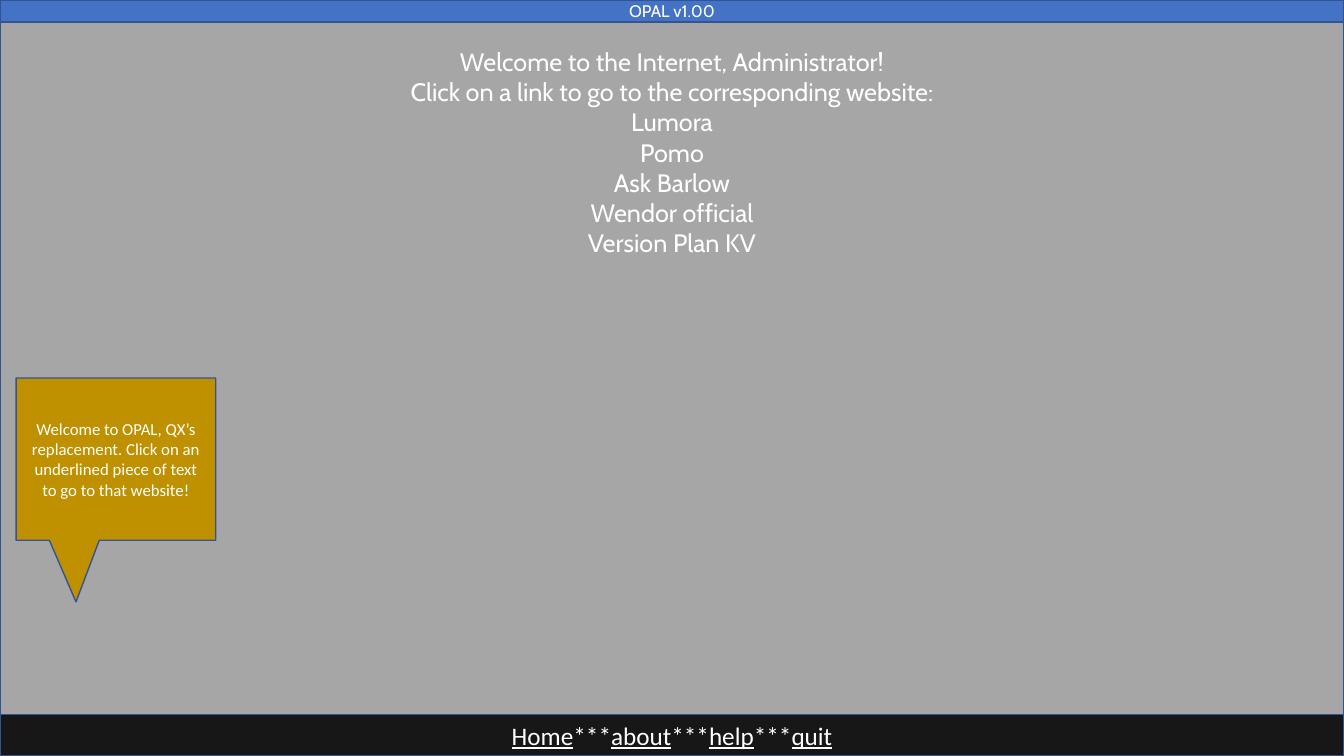
"""Builds the welcome page of a retro web browser."""
from dataclasses import dataclass

from pptx import Presentation
from pptx.dml.color import RGBColor
from pptx.enum.shapes import MSO_SHAPE as Shape
from pptx.enum.text import MSO_ANCHOR as Anchor, MSO_AUTO_SIZE as AutoSize, PP_ALIGN as Align
from pptx.util import Inches, Pt


@dataclass(frozen=True)
class Theme:
    """Colours, fonts and type sizes of the browser."""
    title_bar: str = "4472C4"
    page: str = "A6A6A6"
    tip: str = "BF9000"
    menu: str = "181717"
    outline: str = "325491"
    text: str = "FFFFFF"
    display_font: str = "Cabin"
    body_font: str = "Calibri"
    small: int = 12
    large: int = 18


class BrowserSlide:
    """Draws styled elements on one slide."""

    def __init__(self, slide, theme):
        """Keep the slide and its theme."""
        self.slide = slide
        self.theme = theme

    def panel(self, left, top, width, height, color, kind=Shape.RECTANGLE):
        """Add a filled, outlined shape."""
        panel = self.slide.shapes.add_shape(
            kind, Inches(left), Inches(top), Inches(width), Inches(height))
        panel.shadow.inherit = False
        panel.fill.solid()
        panel.fill.fore_color.rgb = RGBColor.from_string(color)
        panel.line.color.rgb = RGBColor.from_string(self.theme.outline)
        panel.line.width = Pt(1)
        panel.text_frame.vertical_anchor = Anchor.MIDDLE
        return panel

    def text_box(self, left, top, width, height, lines, font, size):
        """Add a wrapped text box with one paragraph per line."""
        box = self.slide.shapes.add_textbox(
            Inches(left), Inches(top), Inches(width), Inches(height))
        box.text_frame.word_wrap = True
        box.text_frame.auto_size = AutoSize.SHAPE_TO_FIT_TEXT
        self.set_lines(box, lines, font, size)

    def set_lines(self, holder, lines, font, size):
        """Fill a shape with centred lines."""
        holder.text_frame.text = "\n".join(lines)
        for paragraph in holder.text_frame.paragraphs:
            self.style(paragraph, font, size)

    def set_menu(self, holder, entries, separator, font, size):
        """Fill a shape with underlined entries and plain separators."""
        paragraph = holder.text_frame.paragraphs[0]
        self.style(paragraph, font, size)
        for index, entry in enumerate(entries):
            if index:
                paragraph.add_run().text = separator
            link = paragraph.add_run()
            link.text = entry
            link.font.underline = True

    def style(self, paragraph, font, size):
        """Centre a paragraph and set its font."""
        paragraph.alignment = Align.CENTER
        paragraph.font.name = font
        paragraph.font.size = Pt(size)
        paragraph.font.color.rgb = RGBColor.from_string(self.theme.text)


def main():
    """Build and save the presentation."""
    width, height = 13.33, 7.5
    title_height, menu_height = 0.22, 0.41
    deck = Presentation()
    deck.slide_width, deck.slide_height = Inches(width), Inches(height)
    theme = Theme()
    browser = BrowserSlide(deck.slides.add_slide(deck.slide_layouts[6]), theme)

    title_bar = browser.panel(0, 0, width, title_height, theme.title_bar)
    browser.set_lines(title_bar, ["OPAL v1.00"], theme.display_font, theme.small)

    browser.panel(0, title_height, width, height - title_height, theme.page)
    welcome = [
        "Welcome to the Internet, Administrator!",
        "Click on a link to go to the corresponding website:",
        "Lumora",
        "Pomo",
        "Ask Barlow",
        "Wendor official",
        "Version Plan KV",
    ]
    browser.text_box(0, 0.41, width, 2.42, welcome, theme.display_font, theme.large)

    tip = browser.panel(0.16, 3.75, 1.98, 1.61, theme.tip, Shape.RECTANGULAR_CALLOUT)
    tip.adjustments[0], tip.adjustments[1] = -0.2, 0.88
    advice = ("Welcome to OPAL, QX’s replacement. Click on an underlined "
              "piece of text to go to that website!")
    browser.set_lines(tip, [advice], theme.body_font, theme.small)

    menu = browser.panel(0, height - menu_height, width, menu_height, theme.menu)
    browser.set_menu(menu, ["Home", "about", "help", "quit"], "***",
                     theme.body_font, theme.large)

    deck.save("out.pptx")


if __name__ == "__main__":
    main()
